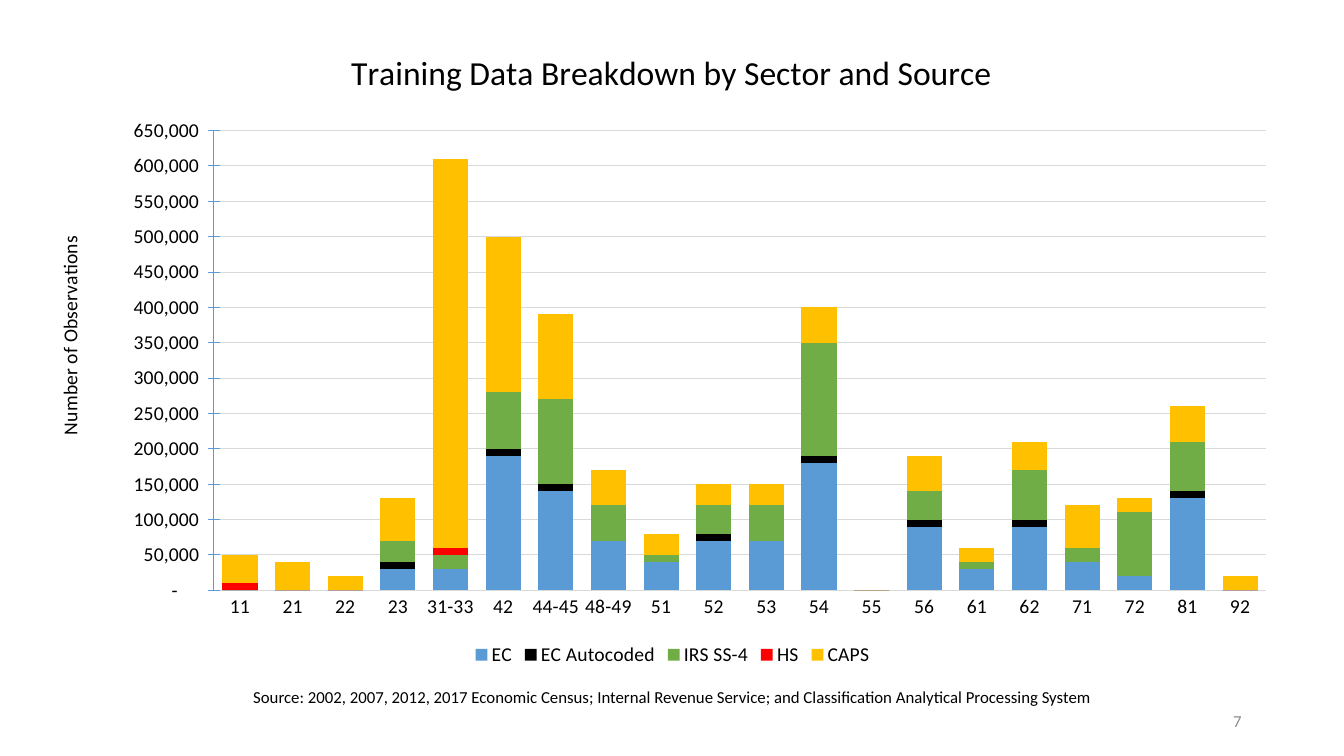
"""Build the slide on training data by sector and source."""
from lxml import etree
from pptx import Presentation
from pptx import util as u
from pptx.chart.data import CategoryChartData
from pptx.dml.color import RGBColor
from pptx.enum import chart as ch, text
from pptx.oxml import ns

PX = 9525
FONT = "Calibri"
NUMBER_FORMAT = r'_(* #,##0_);_(* \(#,##0\);_(* "-"??_);_(@_)'
SECTORS = ["11", "21", "22", "23", "31-33", "42", "44-45", "48-49", "51", "52",
           "53", "54", "55", "56", "61", "62", "71", "72", "81", "92"]
SOURCES = [
    ("EC", "5B9BD5", [0, 0, 0, 3, 3, 19, 14, 7, 4, 7,
                      7, 18, 0, 9, 3, 9, 4, 2, 13, 0]),
    ("EC Autocoded", "000000", [0, 0, 0, 1, 0, 1, 1, 0, 0, 1,
                                0, 1, 0, 1, 0, 1, 0, 0, 1, 0]),
    ("IRS SS-4", "70AD47", [0, 0, 0, 3, 2, 8, 12, 5, 1, 4,
                            5, 16, 0, 4, 1, 7, 2, 9, 7, 0]),
    ("HS", "FF0000", [1, 0, 0, 0, 1] + [0] * 15),
    ("CAPS", "FFC000", [4, 4, 2, 6, 55, 22, 12, 5, 3, 3,
                        3, 5, 0, 5, 2, 4, 6, 2, 5, 2]),
]


def box(*lengths):
    return [u.Emu(n * PX) for n in lengths]


def rgb(value):
    return RGBColor.from_string(value)


def style_font(font, size, color="000000"):
    font.name = FONT
    font.size = u.Pt(size)
    font.bold = False
    font.color.rgb = rgb(color)


def style_line(line, color):
    line.color.rgb = rgb(color)
    line.width = u.Pt(0.75)


def add_text(s, bounds, content, size, color, align, anchor):
    tf = s.shapes.add_textbox(*box(*bounds)).text_frame
    tf.word_wrap = True
    tf.vertical_anchor = anchor
    p = tf.paragraphs[0]
    p.text = content
    p.alignment = align
    style_font(p.font, size, color)


def place(element, index, **thousandths):
    """Give a chart part a fixed position, in thousandths of the chart."""
    for old in element.findall(ns.qn("c:layout")):
        element.remove(old)
    layout = etree.Element(ns.qn("c:layout"))
    manual = etree.SubElement(layout, ns.qn("c:manualLayout"))
    if element.tag == ns.qn("c:plotArea"):
        etree.SubElement(manual, ns.qn("c:layoutTarget")).set("val", "inner")
    for key in "xy":
        etree.SubElement(manual, ns.qn(f"c:{key}Mode")).set("val", "edge")
    for key, value in thousandths.items():
        etree.SubElement(manual, ns.qn(f"c:{key}")).set("val", str(value / 1000))
    element.insert(index, layout)


def set_title(title, content, size, x, y):
    p = title.text_frame.paragraphs[0]
    p.text = content
    style_font(p.font, size)
    place(title._element, 1, x=x, y=y)


def style_axes(chart):
    sectors, counts = chart.category_axis, chart.value_axis
    for axis, color in ((sectors, "D9D9D9"), (counts, "5B9BD5")):
        style_font(axis.tick_labels.font, 14)
        style_line(axis.format.line, color)
        axis.minor_tick_mark = ch.XL_TICK_MARK.NONE
    sectors.major_tick_mark = ch.XL_TICK_MARK.NONE
    counts.major_tick_mark = ch.XL_TICK_MARK.CROSS
    counts.minimum_scale = 0
    counts.maximum_scale = 650000
    counts.major_unit = 50000
    counts.has_major_gridlines = True
    style_line(counts.major_gridlines.format.line, "D9D9D9")
    counts.tick_labels.number_format = NUMBER_FORMAT
    counts.tick_labels.number_format_is_linked = False
    set_title(counts.axis_title, "Number of Observations", 14, 0, 320)


def add_stacked_chart(s, bounds):
    data = CategoryChartData(number_format="#,##0")
    data.categories = SECTORS
    for name, _, ten_thousands in SOURCES:
        data.add_series(name, [n * 10000 for n in ten_thousands])
    chart = s.shapes.add_chart(
        ch.XL_CHART_TYPE.COLUMN_STACKED, *box(*bounds), data).chart
    style_font(chart.font, 10)
    plot = chart.plots[0]
    plot.gap_width = 50
    plot.overlap = 100
    plot.vary_by_categories = False
    for series, (_, color, _) in zip(plot.series, SOURCES):
        series.format.fill.solid()
        series.format.fill.fore_color.rgb = rgb(color)
    style_axes(chart)
    chart.has_title = True
    set_title(chart.chart_title, "Training Data Breakdown by Sector and Source",
              24, 236, 28)
    chart.has_legend = True
    chart.legend.position = ch.XL_LEGEND_POSITION.BOTTOM
    chart.legend.include_in_layout = False
    style_font(chart.legend.font, 14)
    place(chart.legend._element, 1, x=336, y=950, w=328, h=50)
    plot_area = chart._chartSpace.find(".//" + ns.qn("c:plotArea"))
    place(plot_area, 0, x=130, y=162, w=849, h=713)


def main():
    prs = Presentation()
    prs.slide_width, prs.slide_height = box(1280, 720)
    s = prs.slides.add_slide(prs.slide_layouts[6])
    add_text(s, (904, 667, 288, 38), "7", 12, "8C8C8C",
             text.PP_ALIGN.RIGHT, text.MSO_ANCHOR.MIDDLE)
    add_stacked_chart(s, (50, 25, 1181, 614))
    add_text(s, (215, 649, 851, 29),
             "Source: 2002, 2007, 2012, 2017 Economic Census; Internal Revenue "
             "Service; and Classification Analytical Processing System",
             12, "000000", text.PP_ALIGN.CENTER, text.MSO_ANCHOR.TOP)
    prs.save("out.pptx")


if __name__ == "__main__":
    main()
